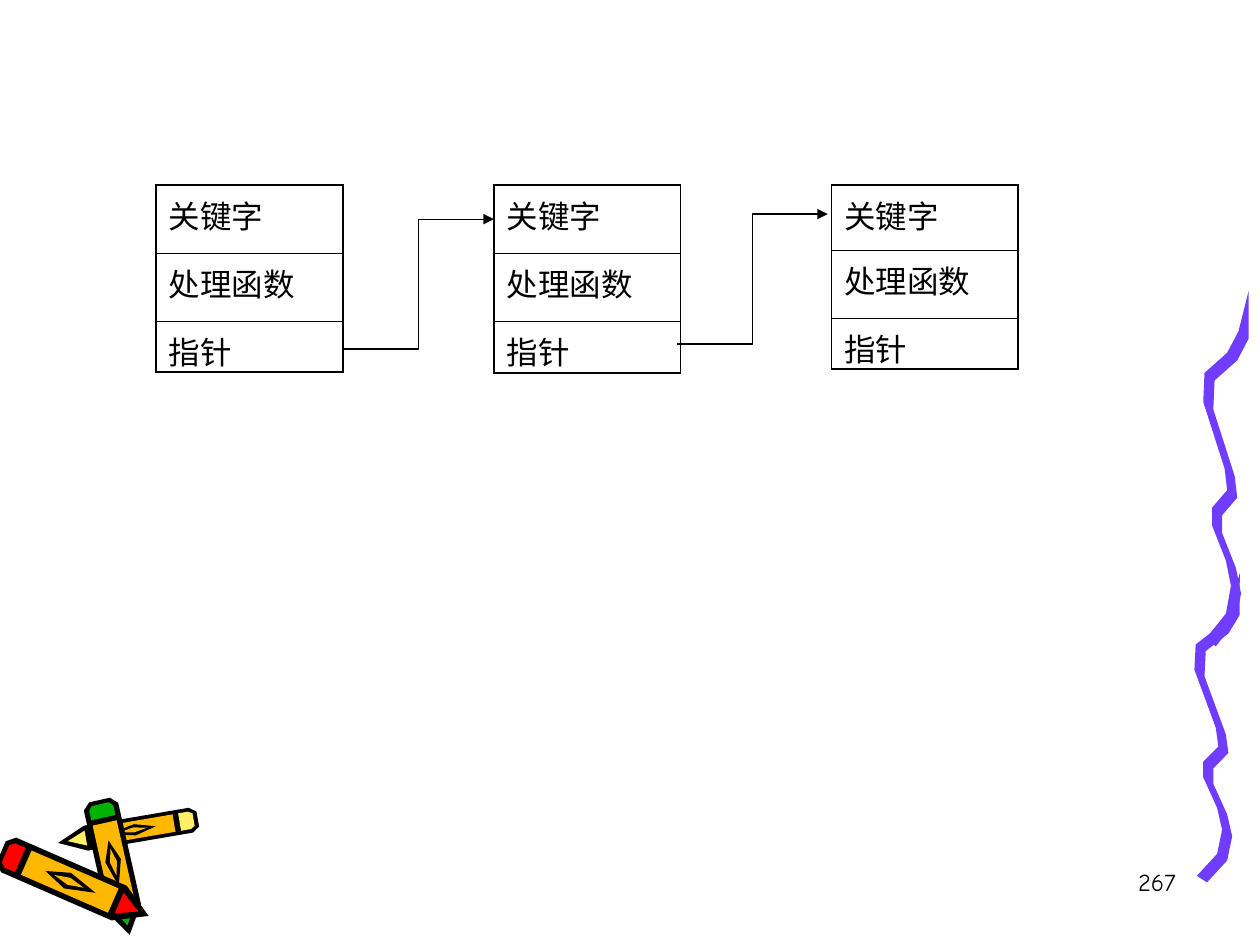
from lxml.etree import SubElement
from pptx import Presentation
from pptx.dml.color import RGBColor
from pptx.enum.shapes import MSO_CONNECTOR
from pptx.enum.text import PP_ALIGN
from pptx.oxml.ns import qn
from pptx.util import Inches, Pt

BLACK = RGBColor(0x00, 0x00, 0x00)
PALE_YELLOW = RGBColor(0xFF, 0xEF, 0x66)
AMBER = RGBColor(0xFF, 0xB8, 0x00)
RED = RGBColor(0xFF, 0x00, 0x00)
GREEN = RGBColor(0x00, 0xB2, 0x00)
VIOLET = RGBColor(0x70, 0x3D, 0xFF)

# Crayons from back to front: blunt end, point, half width, colour of the ends
CRAYONS = [
    ((1.57, 6.5), (0.46, 6.69), 0.1, PALE_YELLOW),
    ((0.79, 6.35), (1.03, 7.42), 0.14, GREEN),
    ((0.01, 6.76), (1.18, 7.27), 0.15, RED),
]
# One side of each crayon part: share of the length, share of the half width.
# No colour means the colour of the ends.
CRAYON_PARTS = [
    (BLACK, [(0, 0.6), (0.05, 1), (0.8, 1), (1, 0)]),
    (None, [(0.03, 0.5), (0.06, 0.7), (0.13, 0.7)]),
    (AMBER, [(0.17, 0.7), (0.76, 0.7)]),
    (None, [(0.8, 0.6), (0.93, 0)]),
    (BLACK, [(0.3, 0), (0.45, 0.45), (0.64, 0)]),
    (AMBER, [(0.36, 0), (0.46, 0.2), (0.56, 0)]),
]

# Middle line of the upper ribbon, below its pointed top
RIBBON_TOP = (9.91, 2.31)
RIBBON = [(9.87, 2.66), (9.78, 2.83), (9.6, 2.99), (9.59, 3.22), (9.76, 3.75),
          (9.78, 3.92), (9.66, 4.06), (9.66, 4.2), (9.77, 4.48), (9.81, 4.68),
          (9.77, 4.9), (9.61, 5.1)]
# Shift to the left, top and height relative to the upper ribbon
RIBBON_COPIES = [(0.07, 4.55, 0.87), (0, 2.31, 1)]

FIELDS = ["关键字", "处理函数", "指针"]
NODE_TOP, NODE_WIDTH = 1.47, 1.48
NODES = [(1.24, [0.54, 0.54, 0.4]), (3.92, [0.54, 0.54, 0.41]), (6.6, [0.52, 0.54, 0.4])]
LINKS = [(2.72, 2.77), (5.37, 2.73)]
LINK_WIDTH, LINK_RISE = 1.2, 1.03


def write(frame, text, font="Arial", size=18, align=PP_ALIGN.LEFT):
    para = frame.paragraphs[0]
    para.alignment = align
    span = para.add_run()
    span.text = text
    span.font.name = font
    span.font.size = Pt(size)
    span.font.color.rgb = BLACK


class SlideBuilder:
    outer_line = Pt(1.08)
    inner_line = Pt(0.45)
    link_line = Pt(0.75)

    def __init__(self, page):
        self.page = page

    def outline(self, group, points, color):
        points = [(Inches(x), Inches(y)) for x, y in points]
        builder = group.shapes.build_freeform(*points[0])
        builder.add_line_segments(points[1:], close=True)
        shape = builder.convert_to_shape()
        shape.shadow.inherit = False
        shape.fill.solid()
        shape.fill.fore_color.rgb = color
        shape.line.fill.background()

    def crayon(self, group, start, end, half_width, end_color):
        run, rise = end[0] - start[0], end[1] - start[1]
        ratio = half_width / (run ** 2 + rise ** 2) ** 0.5
        for color, side in CRAYON_PARTS:
            mirrored = [(along, -across) for along, across in reversed(side)]
            points = [(start[0] + run * along - rise * ratio * across,
                       start[1] + rise * along + run * ratio * across)
                      for along, across in side + mirrored]
            self.outline(group, points, color or end_color)

    def ribbon(self, group, shift, top, stretch):
        upper_left = [(x - 0.04, y - 0.03) for x, y in RIBBON]
        lower_right = [(x + 0.04, y + 0.03) for x, y in reversed(RIBBON)]
        points = [(x - shift, top + (y - RIBBON_TOP[1]) * stretch)
                  for x, y in [RIBBON_TOP] + upper_left + lower_right]
        self.outline(group, points, VIOLET)

    def group(self, method, items):
        group = self.page.shapes.add_group_shape()
        for item in items:
            method(group, *item)

    def text(self, text, left, top, width, height, **style):
        box = self.page.shapes.add_textbox(
            Inches(left), Inches(top), Inches(width), Inches(height))
        box.text_frame.word_wrap = True
        write(box.text_frame, text, **style)

    def borders(self, cell, top, bottom):
        properties = cell._tc.get_or_add_tcPr()
        sides = {"a:lnL": self.outer_line, "a:lnR": self.outer_line,
                 "a:lnT": top, "a:lnB": bottom}
        for tag, width in sides.items():
            line = SubElement(properties, qn(tag), w=str(int(width)))
            fill = SubElement(line, qn("a:solidFill"))
            SubElement(fill, qn("a:srgbClr"), val=str(BLACK))

    def node(self, left, heights):
        table = self.page.shapes.add_table(
            len(FIELDS), 1, Inches(left), Inches(NODE_TOP),
            Inches(NODE_WIDTH), Inches(sum(heights))).table
        table.first_row = table.horz_banding = False
        last = len(FIELDS) - 1
        for index, (field, height) in enumerate(zip(FIELDS, heights)):
            table.rows[index].height = Inches(height)
            cell = table.cell(index, 0)
            self.borders(cell,
                         self.outer_line if index == 0 else self.inner_line,
                         self.outer_line if index == last else self.inner_line)
            cell.fill.background()
            write(cell.text_frame, field)

    def link(self, left, bottom):
        connector = self.page.shapes.add_connector(
            MSO_CONNECTOR.ELBOW, Inches(left), Inches(bottom),
            Inches(left + LINK_WIDTH), Inches(bottom - LINK_RISE))
        connector.line.color.rgb = BLACK
        connector.line.width = self.link_line
        SubElement(connector.line._get_or_add_ln(), qn("a:tailEnd"), type="triangle")
        SubElement(connector._element.spPr, qn("a:effectLst"))


def main():
    deck = Presentation()
    deck.slide_width, deck.slide_height = Inches(10), Inches(7.5)
    builder = SlideBuilder(deck.slides.add_slide(deck.slide_layouts[6]))

    # Decoration
    builder.group(builder.crayon, CRAYONS)
    builder.group(builder.ribbon, RIBBON_COPIES)

    # Page number
    builder.text("267", 7.35, 6.83, 2.08, 0.5,
                 font="Comic Neue", size=14, align=PP_ALIGN.RIGHT)

    # Linked list
    for left, heights in NODES:
        builder.node(left, heights)
    for left, bottom in LINKS:
        builder.link(left, bottom)

    deck.save("out.pptx")


if __name__ == "__main__":
    main()
